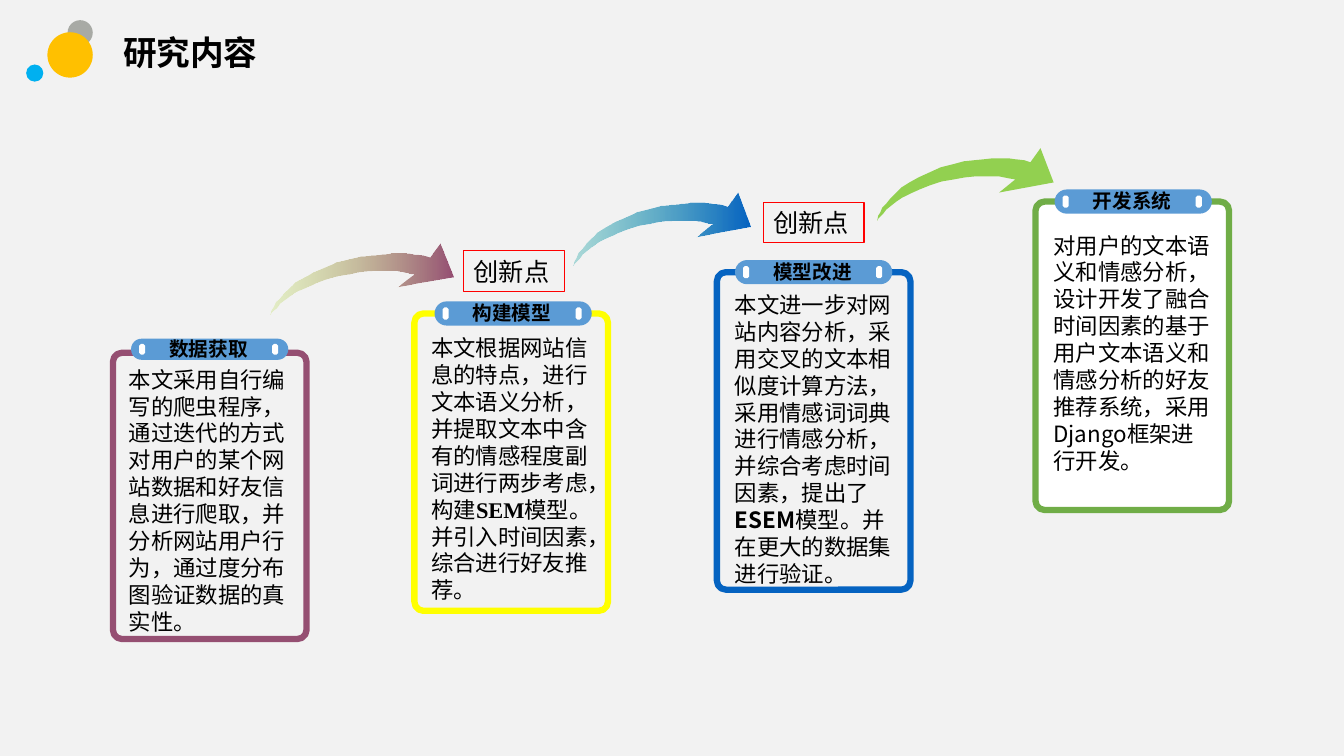
from dataclasses import dataclass

from lxml import etree
from pptx import Presentation
from pptx.dml.color import RGBColor
from pptx.enum.shapes import MSO_SHAPE
from pptx.enum.text import MSO_ANCHOR, PP_ALIGN
from pptx.oxml.ns import qn
from pptx.util import Inches, Pt

OVAL = MSO_SHAPE.OVAL
ROUNDED = MSO_SHAPE.ROUNDED_RECTANGLE
OCTAGON = MSO_SHAPE.OCTAGON
MIDDLE = MSO_ANCHOR.MIDDLE
LEFT = PP_ALIGN.LEFT

BACKGROUND = RGBColor(0xF2, 0xF2, 0xF2)
BLACK = RGBColor(0, 0, 0)
WHITE = RGBColor(0xFF, 0xFF, 0xFF)
RED = RGBColor(0xFF, 0, 0)
GREY = RGBColor(0xA8, 0xAA, 0xA5)
AMBER = RGBColor(0xFF, 0xC0, 0)
SKY = RGBColor(0, 0xB0, 0xF0)
STEEL = RGBColor(0x5B, 0x9B, 0xD5)
PLUM = RGBColor(0x95, 0x4F, 0x72)
YELLOW = RGBColor(0xFF, 0xFF, 0)
BLUE = RGBColor(0x05, 0x63, 0xC1)
GREEN = RGBColor(0x70, 0xAD, 0x47)
LIME = RGBColor(0x92, 0xD0, 0x50)
PALE_LIME = RGBColor(0xC4, 0xE2, 0x6C)
TEAL = RGBColor(0x17, 0xA2, 0xA2)

SERIF = "Times New Roman"
SANS = "Arial"
CJK = "Noto Sans CJK SC"

ARROW_WIDTH, ARROW_HEIGHT = 175, 72
ARROW_OUTLINE = [
    (0, 72), (1, 70), (3, 68), (6, 65), (9, 61), (14, 57), (19, 53), (25, 49),
    (33, 45), (42, 41), (52, 37), (64, 33), (76, 31), (87, 29), (97, 28),
    (106, 28), (114, 28), (121, 28), (126, 29), (131, 30), (137, 31),
    (121, 44), (175, 34), (162, 0), (152, 14), (146, 12), (137, 11),
    (130, 10), (123, 10), (115, 10), (106, 11), (96, 12), (86, 13), (75, 16),
    (63, 19), (52, 24), (41, 29), (32, 34), (24, 39), (18, 45), (13, 50),
    (9, 55), (5, 59), (3, 64), (1, 67),
]


@dataclass
class Stage:
    """One research step: its frame, its name tab and its description."""
    name: str
    color: RGBColor
    frame: tuple
    tab: tuple
    body: tuple
    runs: list
    font: str
    fill: RGBColor = None


STAGES = [
    Stage("数据获取", PLUM, (1.12, 3.5, 1.92, 2.84), (1.3, 3.36, 0.21),
          (1.18, 3.58, 1.83, 2.79),
          [("本文采用自行编写的爬虫程序，通过迭代的方式对用户的某个网站数据和好友信息"
            "进行爬取，并分析网站用户行为，通过度分布图验证数据的真实性。", None)], SANS),
    Stage("构建模型", YELLOW, (4.11, 3.11, 1.92, 2.95), (4.31, 2.99, 0.24),
          (4.18, 3.27, 1.83, 2.79),
          [("本文根据网站信息的特点，进行文本语义分析，并提取文本中含有的情感程度副词"
            "进行两步考虑，构建", None),
           ("SEM", SERIF),
           ("模型。并引入时间因素，综合进行好友推荐。", None)], SANS),
    Stage("模型改进", BLUE, (7.11, 2.7, 1.92, 3.15), (7.29, 2.58, 0.24),
          (7.19, 2.84, 1.78, 2.26),
          [("本文进一步对网站内容分析，采用交叉的文本相似度计算方法，采用情感词词典"
            "进行情感分析，并综合考虑时间因素，提出了", None),
           ("ESEM", CJK),
           ("模型。并在更大的数据集进行验证。", None)], CJK),
    Stage("开发系统", GREEN, (10.27, 2, 1.92, 3.06), (10.46, 1.88, 0.24),
          (10.35, 2.25, 1.78, 2.26),
          [("对用户的文本语义和情感分析，设计开发了融合时间因素的基于用户文本语义和"
            "情感分析的好友推荐系统，采用Django框架进行开发。", None)], CJK, WHITE),
]


class SlideBuilder:
    """Holds the style and the current slide, and draws each kind of element."""

    def __init__(self, presentation):
        self.slide = presentation.slides.add_slide(presentation.slide_layouts[5])
        self.slide.background.fill.solid()
        self.slide.background.fill.fore_color.rgb = BACKGROUND

    def style(self, font, name, size, bold=False):
        font.name, font.size, font.bold = name, Pt(size), bold
        font.color.rgb = BLACK

    def title(self, text, box):
        shape = self.slide.shapes.title
        shape.left, shape.top, shape.width, shape.height = map(Inches, box)
        shape.text_frame.text = text
        shape.text_frame.vertical_anchor = MIDDLE
        paragraph = shape.text_frame.paragraphs[0]
        paragraph.alignment = LEFT
        paragraph.line_spacing = 0.9
        self.style(paragraph.font, SERIF, 24, True)

    def shape(self, kind, box, fill=None, line=None, adjustment=None):
        shape = self.slide.shapes.add_shape(kind, *map(Inches, box))
        shape.shadow.inherit = False
        if adjustment is not None:
            shape.adjustments[0] = adjustment
        if fill is None:
            shape.fill.background()
        else:
            shape.fill.solid()
            shape.fill.fore_color.rgb = fill
        if line is None:
            shape.line.fill.background()
        else:
            shape.line.color.rgb = line
            shape.line.width = Pt(4.5)

    def text(self, box, runs, name, size, bold=False, wrap=True):
        shape = self.slide.shapes.add_textbox(*map(Inches, box))
        shape.text_frame.word_wrap = wrap
        paragraph = shape.text_frame.paragraphs[0]
        self.style(paragraph.font, name, size, bold)
        for content, emphasis in runs:
            run = paragraph.add_run()
            run.text = content
            self.style(run.font, emphasis or name, size, bold or emphasis is not None)
        return shape

    def badge(self, left, top):
        shape = self.text((left, top, 1, 0.4), [("创新点", None)], SANS, 18)
        shape.line.color.rgb = RED
        shape.line.width = Pt(0.75)

    def arrow(self, left, top, width, height, start, end):
        scale = Inches(width) / ARROW_WIDTH, Inches(height) / ARROW_HEIGHT
        builder = self.slide.shapes.build_freeform(*ARROW_OUTLINE[0], scale=scale)
        builder.add_line_segments(ARROW_OUTLINE[1:], close=True)
        shape = builder.convert_to_shape(Inches(left), Inches(top))
        shape.shadow.inherit = False
        shape.line.fill.background()
        if start is None:
            shape.fill.solid()
            shape.fill.fore_color.rgb = end
            return
        shape.fill.gradient()
        shape.fill.gradient_angle = 0
        for stop, position, color in zip(shape.fill.gradient_stops, (0, 1), (start, end)):
            stop.position = position
            stop.color.rgb = color
        first_color = next(shape.element.iter(qn("a:srgbClr")))
        etree.SubElement(first_color, qn("a:alpha")).set("val", "32000")

    def stage(self, stage):
        self.shape(ROUNDED, stage.frame, stage.fill, stage.color, 0.047)
        left, top, height = stage.tab
        self.shape(ROUNDED, (left, top, 1.56, height), STEEL, adjustment=0.5)
        for offset in (0.08, 1.4):
            slot = (left + offset, top + height / 4, 0.06, height / 2)
            self.shape(OCTAGON, slot, WHITE, adjustment=0.293)
        label = (left + 0.28, top + height / 2 - 0.17, 0.99, 0.34)
        self.text(label, [(stage.name, None)], SERIF, 14, True, False)
        self.text(stage.body, stage.runs, stage.font, 16)


def main():
    presentation = Presentation()
    presentation.slide_width = Inches(13.33)
    presentation.slide_height = Inches(7.5)
    builder = SlideBuilder(presentation)
    for left, top, size, color in [(0.67, 0.2, 0.25, GREY), (0.47, 0.32, 0.45, AMBER),
                                   (0.26, 0.64, 0.17, SKY)]:
        builder.shape(OVAL, (left, top, size, size), color)
    builder.title("研究内容", (1.12, 0.28, 4.05, 0.53))
    for stage in STAGES:
        builder.stage(stage)
    builder.arrow(2.68, 2.42, 1.82, 0.7, PALE_LIME, PLUM)
    builder.arrow(5.69, 1.91, 1.75, 0.72, TEAL, BLUE)
    builder.arrow(8.7, 1.47, 1.75, 0.72, None, LIME)
    builder.badge(4.6, 2.49)
    builder.badge(7.57, 2.01)
    presentation.save("out.pptx")


if __name__ == "__main__":
    main()
